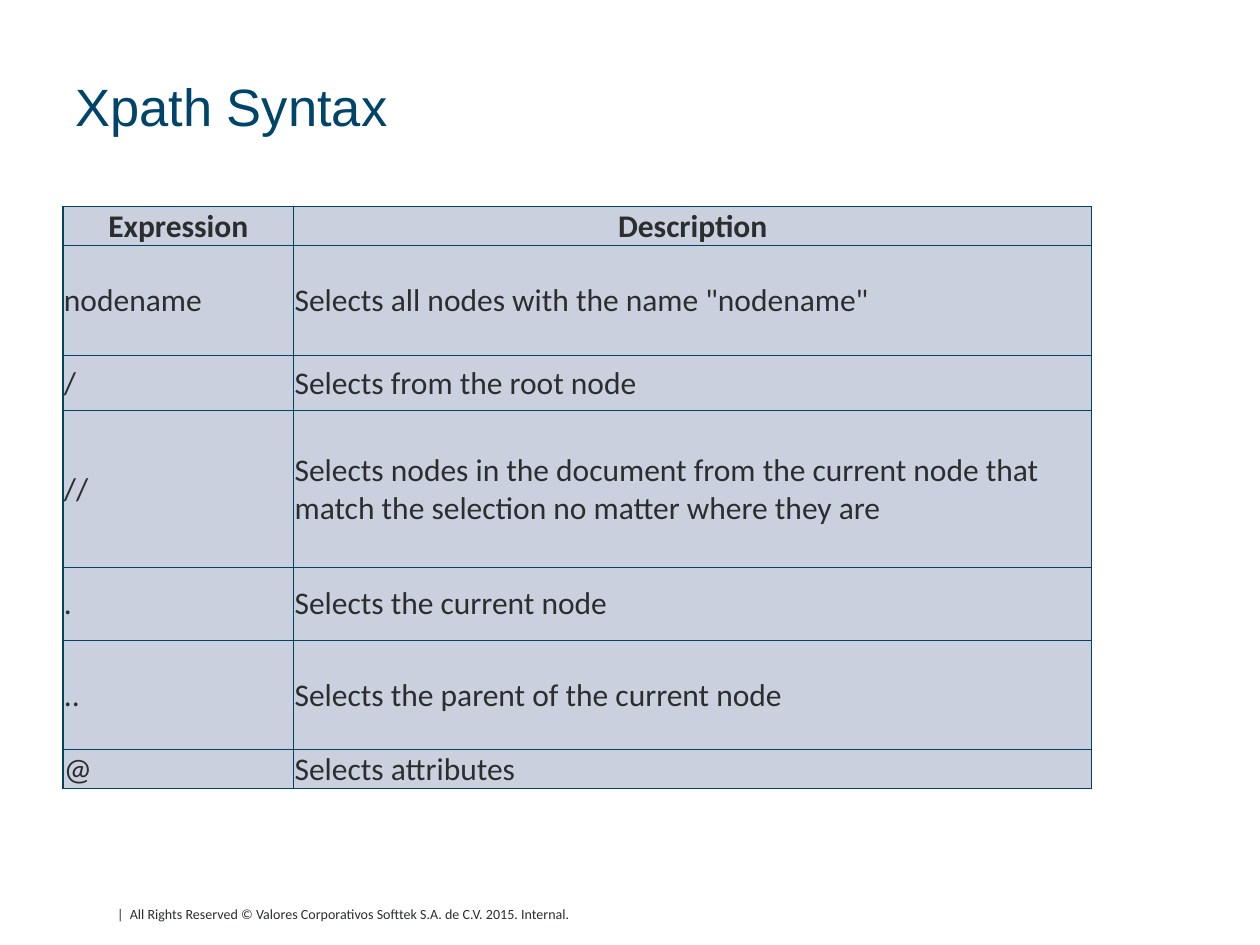
import pptx
import pptx.dml.color
import pptx.enum.text
import pptx.oxml
import pptx.oxml.ns
import pptx.util

Cm = pptx.util.Cm
Pt = pptx.util.Pt
Anchor = pptx.enum.text.MSO_ANCHOR
Align = pptx.enum.text.PP_ALIGN


def color(hex_value):
    return pptx.dml.color.RGBColor.from_string(hex_value)


def set_attributes(target, values):
    for name, value in values.items():
        setattr(target, name, value)


class SlideBuilder:
    ink = "2B2D2E"
    heading = "004569"
    border = "004367"
    cell_fill = "CAD0DE"
    cell_format = {
        "margin_left": Cm(0.02),
        "margin_right": Cm(0.02),
        "margin_top": Cm(0.02),
        "margin_bottom": Cm(0),
    }

    def __init__(self, presentation):
        self.slide = presentation.slides.add_slide(presentation.slide_layouts[6])

    def add_run(self, paragraph, text, font_format, hex_color):
        run = paragraph.add_run()
        run.text = text
        set_attributes(run.font, font_format)
        run.font.color.rgb = color(hex_color)

    def text(self, text, box, font_format, hex_color, anchor=Anchor.TOP, line_spacing=None):
        shape = self.slide.shapes.add_textbox(*map(Cm, box))
        set_attributes(shape.text_frame, {"word_wrap": True, "vertical_anchor": anchor})
        paragraph = shape.text_frame.paragraphs[0]
        paragraph.line_spacing = line_spacing
        self.add_run(paragraph, text, font_format, hex_color)

    def outline(self, cell):
        properties = cell._tc.get_or_add_tcPr()
        for side in "LRTB":
            properties.append(pptx.oxml.parse_xml(
                f'<a:ln{side} {pptx.oxml.ns.nsdecls("a")} w="{Pt(0.75)}"><a:solidFill>'
                f'<a:srgbClr val="{self.border}"/></a:solidFill></a:ln{side}>'
            ))

    def cell(self, cell, text, is_header):
        set_attributes(cell, self.cell_format)
        cell.vertical_anchor = Anchor.BOTTOM if is_header else Anchor.MIDDLE
        self.outline(cell)
        cell.fill.solid()
        cell.fill.fore_color.rgb = color(self.cell_fill)
        paragraph = cell.text_frame.paragraphs[0]
        paragraph.alignment = Align.CENTER if is_header else Align.LEFT
        font_format = {"name": "Calibri", "size": Pt(18), "bold": is_header}
        self.add_run(paragraph, text, font_format, self.ink)

    def table(self, rows, left, top, widths, heights):
        box = map(Cm, (left, top, sum(widths), sum(heights)))
        table = self.slide.shapes.add_table(len(rows), len(widths), *box).table
        set_attributes(table, {"first_row": False, "horz_banding": False})
        for column, width in zip(table.columns, widths):
            column.width = Cm(width)
        for row_index, (row, height) in enumerate(zip(rows, heights)):
            table.rows[row_index].height = Cm(height)
            for column_index, text in enumerate(row):
                self.cell(table.cell(row_index, column_index), text, row_index == 0)


def main():
    presentation = pptx.Presentation()
    set_attributes(presentation, {"slide_width": Cm(25.4), "slide_height": Cm(19.05)})
    builder = SlideBuilder(presentation)
    builder.text(
        "|  All Rights Reserved © Valores Corporativos Softtek S.A. de C.V. 2015. Internal.",
        (2.11, 18.14, 14.2, 0.41),
        {"name": "Calibri", "size": Pt(8)},
        builder.ink,
    )
    builder.text(
        "Xpath Syntax",
        (1.27, 0.53, 19.99, 2.36),
        {"name": "Arial", "size": Pt(30)},
        builder.heading,
        Anchor.BOTTOM,
        Pt(30),
    )
    expressions = [
        ("Expression", "Description"),
        ("nodename", 'Selects all nodes with the name "nodename"'),
        ("/", "Selects from the root node"),
        ("//", "Selects nodes in the document from the current node that "
               "match the selection no matter where they are"),
        (".", "Selects the current node"),
        ("..", "Selects the parent of the current node"),
        ("@", "Selects attributes"),
    ]
    builder.table(
        expressions, 1.27, 4.17, (4.65, 16.09),
        (0.76, 2.21, 1.12, 3.15, 1.47, 2.21, 0.76),
    )
    presentation.save("out.pptx")


if __name__ == "__main__":
    main()
